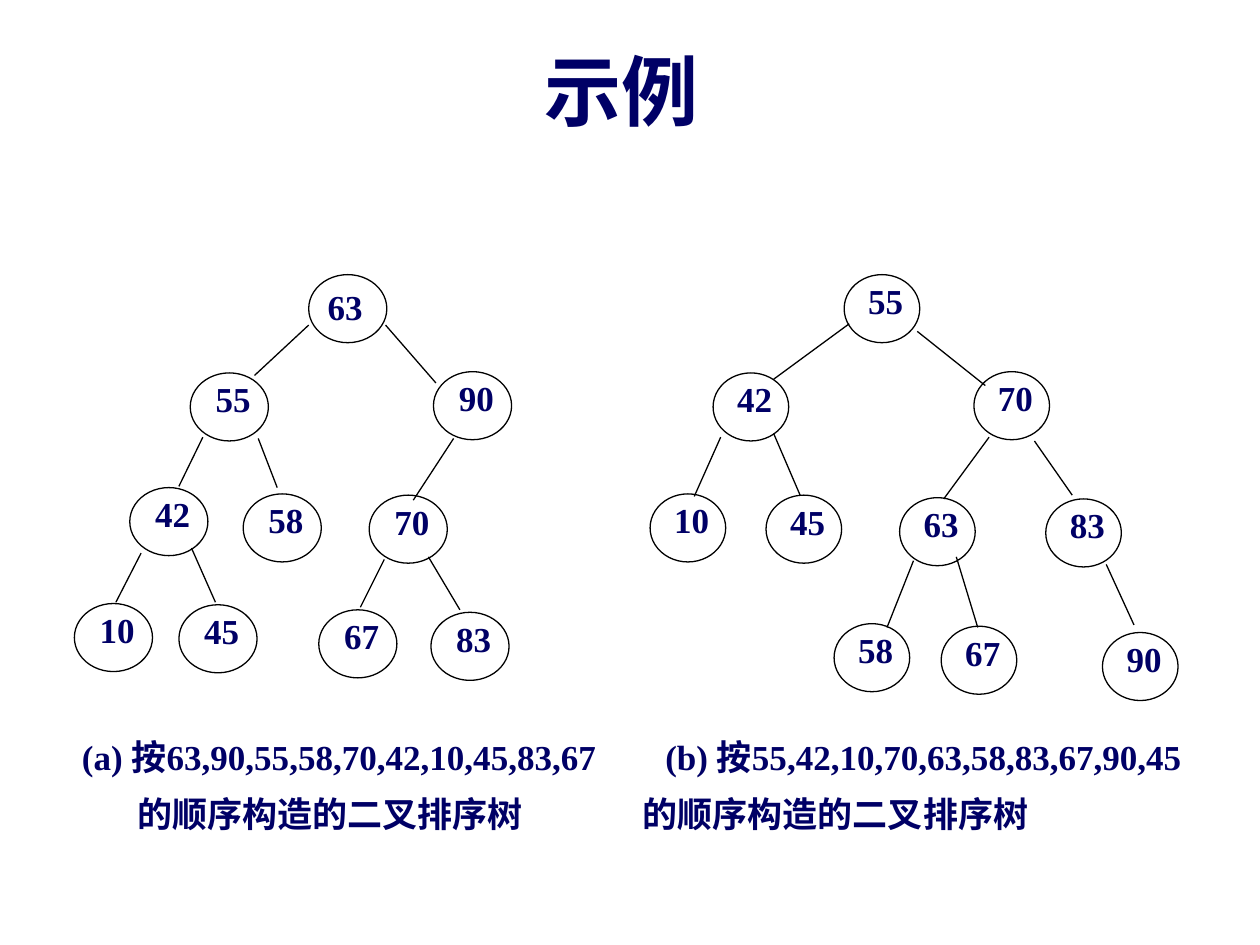
from pptx import Presentation
from pptx.dml.color import RGBColor
from pptx.enum.shapes import MSO_CONNECTOR, MSO_SHAPE
from pptx.enum.text import MSO_ANCHOR, PP_ALIGN
from pptx.oxml.ns import qn
from pptx.util import Inches, Pt

LEFT, CENTER = PP_ALIGN.LEFT, PP_ALIGN.CENTER
TOP, MIDDLE = MSO_ANCHOR.TOP, MSO_ANCHOR.MIDDLE
OVAL, STRAIGHT = MSO_SHAPE.OVAL, MSO_CONNECTOR.STRAIGHT
COLORS = {"text": "000066", "line": "000000"}
SERIF, SANS = "Times New Roman", "Noto Sans CJK SC"

prs = Presentation()
prs.slide_width, prs.slide_height = Inches(10), Inches(7.5)
s = prs.slides.add_slide(prs.slide_layouts[6])


def add_text(box, lines, size=20, font=SERIF, align=CENTER, anchor=TOP,
             insets=(0.02, 0.12, 0.02, 0.01), spacing=None):
    """Add a text box; each line is a (text, left indent) pair."""
    tf = s.shapes.add_textbox(*map(Inches, box)).text_frame
    tf.word_wrap = True
    tf.vertical_anchor = anchor
    for side, inset in zip(("left", "top", "right", "bottom"), insets):
        setattr(tf, f"margin_{side}", Inches(inset))
    for i, (text, indent) in enumerate(lines):
        p = tf.add_paragraph() if i else tf.paragraphs[0]
        p.alignment, p.line_spacing = align, spacing
        p._p.get_or_add_pPr().set("marL", str(Inches(indent)))
        r = p.add_run()
        r.text = text
        for name, value in {"size": Pt(size), "bold": True, "name": font}.items():
            setattr(r.font, name, value)
        r.font.color.rgb = RGBColor.from_string(COLORS["text"])
        ea = r._r.get_or_add_rPr().makeelement(qn("a:ea"), {"typeface": SANS})
        r.font._element.append(ea)


def set_line(shape):
    shape.line.color.rgb = RGBColor.from_string(COLORS["line"])
    shape.line.width = Pt(0.75)


# Title
add_text((1.93, 0.29, 6, 0.84), [("示例", 0)], size=44, font=SANS,
         anchor=MIDDLE, insets=(0.1, 0.05, 0.1, 0.05))

# Captions: box, then lines with their indents
captions = [
    ((0.59, 5.72, 4.45, 0.94),
     [("(a) 按63,90,55,58,70,42,10,45,83,67", 0), ("的顺序构造的二叉排序树", 0.44)]),
    ((5.04, 5.72, 4.61, 0.94),
     [("(b) 按55,42,10,70,63,58,83,67,90,45", 0.18), ("的顺序构造的二叉排序树", 0)]),
]
for box, lines in captions:
    add_text(box, lines, align=LEFT, insets=(0.06, 0, 0.06, 0), spacing=1.35)

# Trees: node width, nodes (key, left, top) and edges (x1, y1, x2, y2)
trees = [
    (0.62,
     [(63, 2.45, 2.18), (55, 1.51, 2.96), (90, 3.44, 2.95), (42, 1.03, 3.87),
      (58, 1.93, 3.92), (70, 2.93, 3.93), (10, 0.59, 4.79), (45, 1.42, 4.8),
      (67, 2.53, 4.84), (83, 3.42, 4.86)],
     [(2.45, 2.58, 2.02, 2.98), (3.06, 2.58, 3.46, 3.04),
      (1.61, 3.47, 1.42, 3.86), (2.05, 3.48, 2.2, 3.87),
      (3.6, 3.48, 3.28, 3.97), (1.12, 4.39, 0.92, 4.78),
      (1.52, 4.35, 1.71, 4.78), (3.05, 4.44, 2.86, 4.82),
      (3.4, 4.42, 3.65, 4.84)]),
    (0.6,
     [(55, 6.7, 2.18), (42, 5.66, 2.96), (70, 7.73, 2.95), (10, 5.16, 3.92),
      (45, 6.08, 3.93), (63, 7.14, 3.95), (83, 8.3, 3.96), (58, 6.62, 4.95),
      (67, 7.47, 4.97), (90, 8.75, 5.02)],
     [(6.74, 2.57, 6.14, 3.01), (7.28, 2.63, 7.82, 3.06),
      (5.72, 3.47, 5.51, 3.94), (6.14, 3.44, 6.35, 3.93),
      (7.85, 3.47, 7.49, 3.96), (8.21, 3.5, 8.51, 3.93),
      (7.25, 4.45, 7.04, 4.98), (7.59, 4.42, 7.76, 4.98),
      (8.78, 4.48, 9, 4.96)]),
]
for width, nodes, edges in trees:
    for key, x, y in nodes:
        # Labels sit slightly right of centre, except in the left root
        dx, dy, top = (0.03, 0.08, 0.01) if (key, x) == (63, 2.45) else (0.08, -0.08, 0.12)
        add_text((x + dx, y + dy, width - 0.1, 0.63), [(str(key), 0)],
                 insets=(0.02, top, 0.02, 0.01))
        node = s.shapes.add_shape(OVAL, *map(Inches, (x, y, width, 0.54)))
        node.shadow.inherit = False
        node.fill.background()
        set_line(node)
    for edge in edges:
        line = s.shapes.add_connector(STRAIGHT, *map(Inches, edge))
        set_line(line)
        spPr = line._element.spPr
        spPr.append(spPr.makeelement(qn("a:effectLst"), {}))

prs.save("out.pptx")
